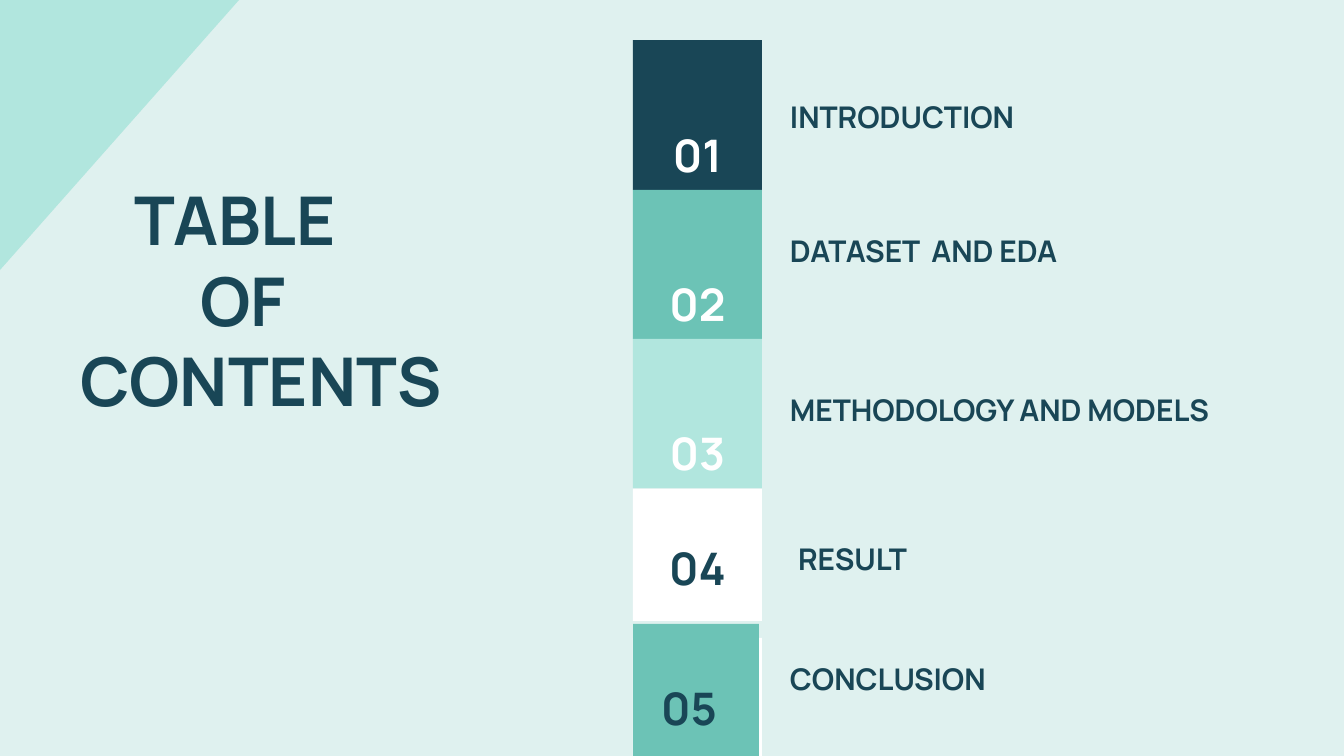
import dataclasses
import typing

import pptx
import pptx.dml.color
import pptx.enum.shapes
import pptx.enum.text
import pptx.util

EMU_PER_PX = 914400 / 134.4
PAGE_WIDTH, PAGE_HEIGHT = 1344, 756
INSET = 13
COLUMN_LEFT, COLUMN_WIDTH = 633, 129
LABEL_LEFT = 777

TOP = pptx.enum.text.MSO_ANCHOR.TOP
MIDDLE = pptx.enum.text.MSO_ANCHOR.MIDDLE
LEFT = pptx.enum.text.PP_ALIGN.LEFT
CENTER = pptx.enum.text.PP_ALIGN.CENTER


@dataclasses.dataclass(frozen=True)
class Theme:
    font: str = "Manrope"
    background: str = "DFF1EF"
    navy: str = "194656"
    teal: str = "6CC3B6"
    mint: str = "B1E6DE"
    white: str = "FFFFFF"
    title_size: int = 36
    number_size: int = 24
    label_size: int = 16


THEME = Theme()


class Area(typing.NamedTuple):
    left: int
    top: int
    width: int
    height: int


class Line(typing.NamedTuple):
    text: str
    indent: int = 0


@dataclasses.dataclass(frozen=True)
class Section:
    number: str
    label: str
    tile: Area
    fill: str
    number_color: str
    number_area: Area
    label_area: Area


def column(top: int, height: int, width: int = COLUMN_WIDTH) -> Area:
    return Area(COLUMN_LEFT, top, width, height)


def label_at(top: int, left: int = LABEL_LEFT, width: int = 410, height: int = 54) -> Area:
    return Area(left, top, width, height)


SECTIONS = [
    Section("01", "INTRODUCTION", column(40, 150), THEME.navy, THEME.white,
            column(108, 94), label_at(86)),
    Section("02", "DATASET  AND EDA", column(190, 149), THEME.teal, THEME.white,
            column(257, 94), label_at(220)),
    Section("03", "METHODOLOGY AND MODELS", column(339, 149), THEME.mint, THEME.white,
            column(406, 94), label_at(379, width=546, height=109)),
    Section("04", "RESULT", column(489, 132), THEME.white, THEME.navy,
            column(521, 94), label_at(528, left=785)),
    Section("05", "CONCLUSION", column(624, 132, 126), THEME.teal, THEME.navy,
            column(669, 78, 112), label_at(648)),
]
LAST_TILE_BACKING = column(638, 118)
TITLE_AREA = Area(0, 86, 618, 427)
TITLE = [Line("TABLE", 121), Line("OF", 187), Line("CONTENTS", 67)]


def px(length: int) -> int:
    return round(length * EMU_PER_PX)


def rgb(color: str) -> pptx.dml.color.RGBColor:
    return pptx.dml.color.RGBColor.from_string(color)


def apply(target: typing.Any, values: dict[str, typing.Any]) -> None:
    for name, value in values.items():
        setattr(target, name, value)


def paint(shape: typing.Any, color: str) -> None:
    """Give a shape a flat fill with no outline or shadow."""
    shape.fill.solid()
    shape.fill.fore_color.rgb = rgb(color)
    shape.line.fill.background()
    shape.shadow.inherit = False


def draw_tile(page: typing.Any, area: Area, color: str) -> None:
    rectangle = pptx.enum.shapes.MSO_SHAPE.RECTANGLE
    paint(page.shapes.add_shape(rectangle, *map(px, area)), color)


def draw_corner(page: typing.Any) -> None:
    builder = page.shapes.build_freeform(0, 0, scale=EMU_PER_PX)
    builder.add_line_segments([(0, 270), (239, 0)], close=True)
    paint(builder.convert_to_shape(), THEME.mint)


def draw_text(page: typing.Any, area: Area, lines: list[Line], size: int, color: str,
              anchor: typing.Any = TOP, align: typing.Any = LEFT,
              side: int = INSET, edge: int = INSET) -> None:
    """Write one paragraph per line; side and edge are the inner margins."""
    frame = page.shapes.add_textbox(*map(px, area)).text_frame
    apply(frame, {"word_wrap": True, "vertical_anchor": anchor,
                  "margin_left": px(side), "margin_right": px(side),
                  "margin_top": px(edge), "margin_bottom": px(edge)})
    for index, line in enumerate(lines):
        para = frame.add_paragraph() if index else frame.paragraphs[0]
        para.alignment = align
        if line.indent:
            para._p.get_or_add_pPr().set("marL", str(px(line.indent)))
        span = para.add_run()
        span.text = line.text
        apply(span.font, {"name": THEME.font, "size": pptx.util.Pt(size), "bold": True})
        span.font.color.rgb = rgb(color)


def draw_section(page: typing.Any, section: Section) -> None:
    draw_tile(page, section.tile, section.fill)
    draw_text(page, section.number_area, [Line(section.number)], THEME.number_size,
              section.number_color, MIDDLE, CENTER, side=0, edge=0)
    draw_text(page, section.label_area, [Line(section.label)], THEME.label_size, THEME.navy)


def main() -> None:
    deck = pptx.Presentation()
    apply(deck, {"slide_width": px(PAGE_WIDTH), "slide_height": px(PAGE_HEIGHT)})
    page = deck.slides.add_slide(deck.slide_layouts[6])
    page.background.fill.solid()
    page.background.fill.fore_color.rgb = rgb(THEME.background)

    draw_corner(page)
    draw_text(page, TITLE_AREA, TITLE, THEME.title_size, THEME.navy, MIDDLE)
    draw_tile(page, LAST_TILE_BACKING, THEME.white)
    for section in SECTIONS:
        draw_section(page, section)
    deck.save("out.pptx")


if __name__ == "__main__":
    main()
